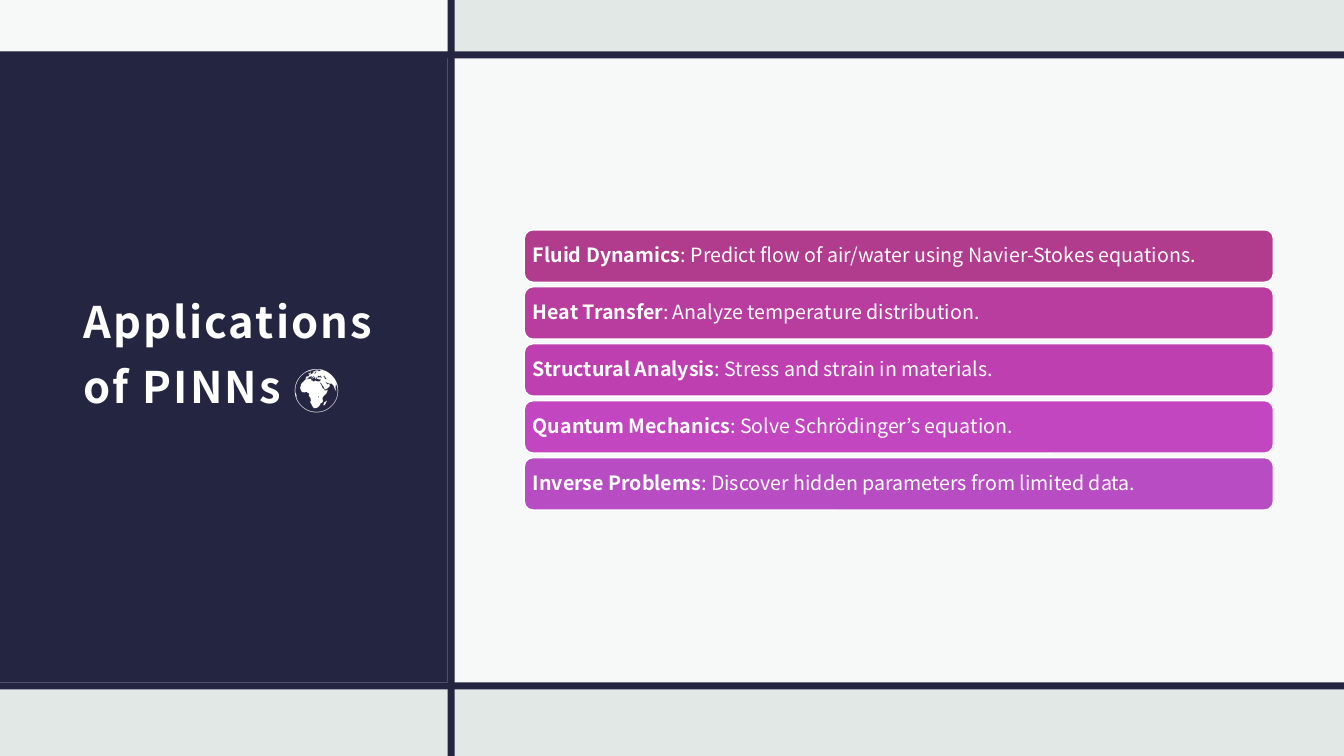
from pptx import Presentation
from pptx.dml.color import RGBColor
from pptx.enum import shapes, text
from pptx.oxml import parse_xml
from pptx.oxml import ns
from pptx.util import Inches, Pt


def color(value):
    return RGBColor.from_string(value)


class SlideBuilder:
    font = "Noto Sans CJK JP"
    navy = "242641"
    mist = "E2E8E6"
    white = "FFFFFF"

    def __init__(self, slide):
        self.slide = slide
        slide.background.fill.solid()
        slide.background.fill.fore_color.rgb = color(self.mist)

    def block(self, left, top, width, height, fill, opacity=100,
              kind=shapes.MSO_SHAPE.RECTANGLE, outline=None):
        block = self.slide.shapes.add_shape(
            kind, Inches(left), Inches(top), Inches(width), Inches(height))
        block.shadow.inherit = False
        block.fill.solid()
        block.fill.fore_color.rgb = color(fill)
        if opacity < 100:
            tint = block.fill._xPr.find(".//" + ns.qn("a:srgbClr"))
            tint.append(parse_xml(
                f'<a:alpha {ns.nsdecls("a")} val="{opacity * 1000}"/>'))
        if outline:
            block.line.color.rgb = color(outline)
            block.line.width = Pt(1)
        else:
            block.line.fill.background()
        return block

    def prepare(self, frame, left, top, right, bottom):
        frame.word_wrap = True
        frame.vertical_anchor = text.MSO_ANCHOR.MIDDLE
        frame.margin_left, frame.margin_top = Inches(left), Inches(top)
        frame.margin_right, frame.margin_bottom = Inches(right), Inches(bottom)

    def style(self, paragraph, size, spacing):
        paragraph.alignment = text.PP_ALIGN.LEFT
        paragraph.line_spacing = spacing
        paragraph.font.name = self.font
        paragraph.font.size = Pt(size)
        paragraph.font.color.rgb = color(self.white)

    def title(self, wording, left, top, width, height):
        box = self.slide.shapes.add_textbox(
            Inches(left), Inches(top), Inches(width), Inches(height))
        self.prepare(box.text_frame, 0.12, 0.12, 0.12, 0.56)
        heading = box.text_frame.paragraphs[0]
        run = heading.add_run()
        run.text = wording
        run.font._element.set("spc", "150")
        self.style(heading, 31, 1.25)
        heading.font.bold = True

    def application(self, topic, detail, top, fill):
        bar = self.block(5.2, top, 7.43, 0.52, fill,
                         kind=shapes.MSO_SHAPE.ROUNDED_RECTANGLE,
                         outline=self.white)
        self.prepare(bar.text_frame, 0.06, 0.06, 0.06, 0.06)
        entry = bar.text_frame.paragraphs[0]
        for wording, bold in ((topic, True), (": " + detail, False)):
            run = entry.add_run()
            run.text = wording
            run.font.bold = bold
        self.style(entry, 14, 0.9)


def main():
    deck = Presentation()
    deck.slide_width, deck.slide_height = Inches(13.33), Inches(7.5)
    page = SlideBuilder(deck.slides.add_slide(deck.slide_layouts[6]))

    page.block(0, 0.51, 4.44, 6.26, page.navy)
    page.title("Applications of PINNs 🌍", 0.71, 1.31, 3.41, 4.71)
    page.block(0, 0, 4.44, 0.55, page.white, opacity=75)
    page.block(4.51, 0.58, 8.82, 6.22, page.white, opacity=75)
    for top in (6.77, 0.51):
        page.block(0, top, 13.33, 0.07, page.navy)
    page.block(4.44, 0, 0.07, 7.5, page.navy)

    applications = (
        ("Fluid Dynamics",
         "Predict flow of air/water using Navier-Stokes equations.", "B13B8C"),
        ("Heat Transfer", "Analyze temperature distribution.", "B83D9E"),
        ("Structural Analysis", "Stress and strain in materials.", "BE40B0"),
        ("Quantum Mechanics", "Solve Schrödinger’s equation.", "C146C0"),
        ("Inverse Problems",
         "Discover hidden parameters from limited data.", "B84DC3"),
    )
    first_top, pitch = 2.28, 0.565
    for index, (topic, detail, fill) in enumerate(applications):
        page.application(topic, detail, first_top + index * pitch, fill)

    deck.save("out.pptx")


if __name__ == "__main__":
    main()
